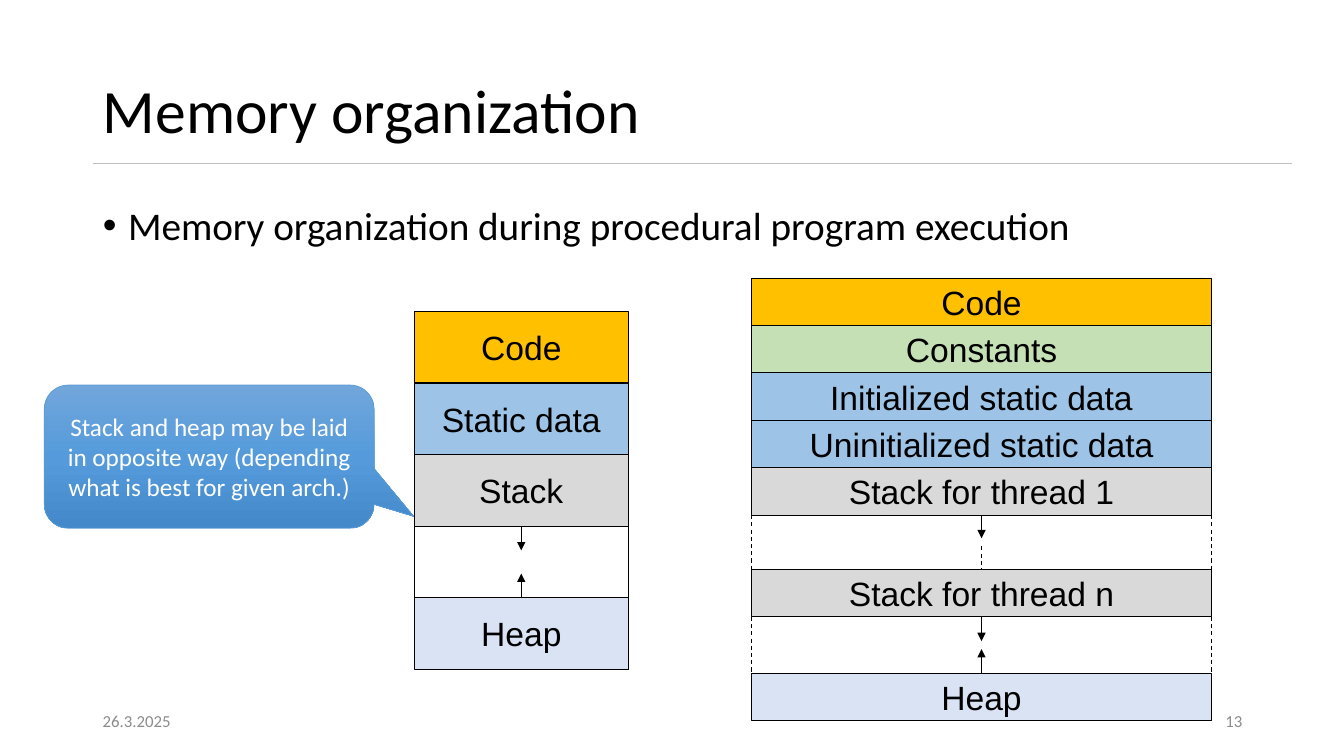
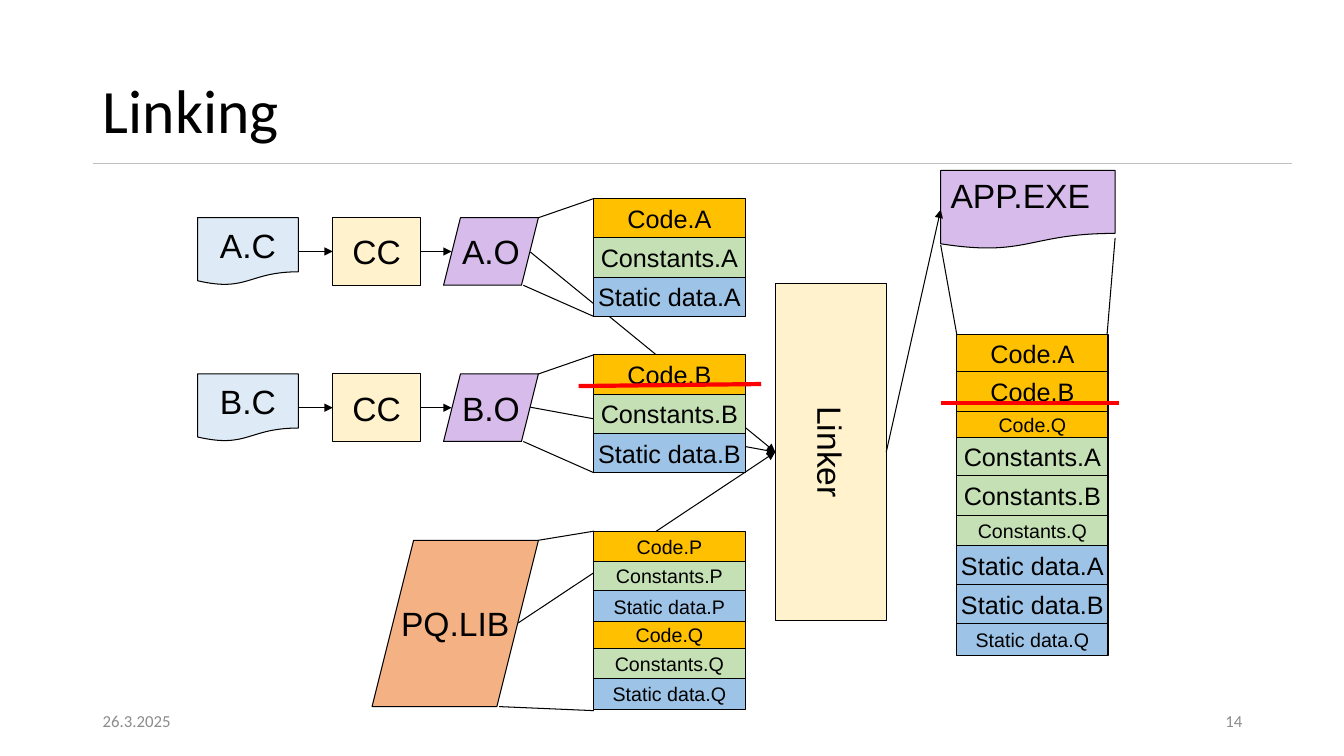
from copy import deepcopy
from lxml.etree import SubElement
from pptx import Presentation
from pptx.dml.color import RGBColor
from pptx.enum.dml import MSO_LINE
from pptx.enum.shapes import MSO_CONNECTOR, MSO_SHAPE
from pptx.enum.text import MSO_ANCHOR, PP_ALIGN
from pptx.oxml.ns import qn
from pptx.util import Inches, Pt

BLACK, WHITE, GREY, RULE, RED = "000000", "FFFFFF", "8C8C8C", "BFBFBF", "FF0000"
SOURCE, TOOL, OBJECT, LIBRARY = "DEEBF7", "FFF2CC", "D6BBEB", "F4B183"
SECTIONS = {"code": "FFC000", "constants": "C5E0B4", "static data": "9DC3E6",
            "stack": "D9D9D9", "heap": "DAE3F3"}
CALLOUT = [(0, "71A6DB"), (0.5, "559BDB"), (1, "448ACA")]


def rgb(value):
    return RGBColor.from_string(value)


def section_fill(label):
    return next((c for key, c in SECTIONS.items() if key in label.lower()), None)


class Deck:
    """Holds the shared style and the slide being drawn."""

    def __init__(self):
        self.prs = Presentation()
        self.prs.slide_width, self.prs.slide_height = Inches(13.33), Inches(7.5)
        self.s = None

    def slide(self, title, layout, number):
        self.s = self.prs.slides.add_slide(self.prs.slide_layouts[layout])
        self.line((12.81, 1.62), (0.92, 1.62), color=RULE, width=1)
        sp = self.s.shapes.title
        self.place(sp, 0.92, 0.4, 10.63, 1.45)
        sp.text_frame.vertical_anchor = MSO_ANCHOR.MIDDLE
        p = sp.text_frame.paragraphs[0]
        p.alignment, p.line_spacing = PP_ALIGN.LEFT, 0.9
        self.run(p, title, 44)
        self.footer(0.92, "26.3.2025", PP_ALIGN.LEFT)
        self.footer(9.42, number, PP_ALIGN.RIGHT)

    def place(self, sp, x, y, w, h):
        sp.left, sp.top, sp.width, sp.height = (Inches(v) for v in (x, y, w, h))

    def run(self, p, text, size, color=BLACK, font="Calibri"):
        r = p.add_run()
        r.text = text
        r.font.size, r.font.name = Pt(size), font
        r.font.color.rgb = rgb(color)

    def footer(self, x, text, align):
        sp = self.s.shapes.add_textbox(Inches(x), Inches(6.95), Inches(3), Inches(0.4))
        tf = sp.text_frame
        tf.word_wrap, tf.vertical_anchor = True, MSO_ANCHOR.MIDDLE
        p = tf.paragraphs[0]
        p.alignment = align
        self.run(p, text, 12, GREY)

    def bullet(self, text):
        sp = self.s.placeholders[1]
        self.place(sp, 0.92, 2, 11.5, 4.76)
        p = sp.text_frame.paragraphs[0]
        pPr = p._p.get_or_add_pPr()
        pPr.set("marL", str(Inches(0.25)))
        pPr.set("indent", str(-Inches(0.25)))
        SubElement(pPr, qn("a:buFont")).set("typeface", "Arial")
        SubElement(pPr, qn("a:buChar")).set("char", "•")
        p.line_spacing, p.space_before = 0.9, Pt(0)
        self.run(p, text, 28)

    def box(self, x, y, w, h, text="", fill=None, size=24, kind=MSO_SHAPE.RECTANGLE,
            anchor=MSO_ANCHOR.MIDDLE, align=PP_ALIGN.CENTER):
        sp = self.s.shapes.add_shape(kind, Inches(x), Inches(y), Inches(w), Inches(h))
        sp.shadow.inherit = False
        if fill:
            sp.fill.solid()
            sp.fill.fore_color.rgb = rgb(fill)
        else:
            sp.fill.background()
        sp.line.color.rgb, sp.line.width = rgb(BLACK), Pt(0.75)
        tf = sp.text_frame
        tf.word_wrap, tf.vertical_anchor = False, anchor
        if text:
            p = tf.paragraphs[0]
            p.alignment = align
            self.run(p, text, size, font="Arial")
        return sp

    def column(self, x, y, w, rows):
        boxes = []
        for label, h, size in rows:
            boxes.append(self.box(x, y, w, h, label, section_fill(label), size))
            y += h
        return boxes

    def callout(self, x, y, w, h, text):
        sp = self.box(x, y, w, h, kind=MSO_SHAPE.ROUNDED_RECTANGULAR_CALLOUT)
        for i, value in enumerate((0.62, 0.417, 0.167)):
            sp.adjustments[i] = value
        sp.fill.gradient()
        sp.fill.gradient_angle = 270
        stops = sp._element.spPr.find(".//" + qn("a:gsLst"))
        stops.append(deepcopy(stops[0]))
        for stop, (position, color) in zip(sp.fill.gradient_stops, CALLOUT):
            stop.position, stop.color.rgb = position, rgb(color)
        sp.line.color.rgb, sp.line.width = rgb("5B9BD5"), Pt(0.5)
        tf = sp.text_frame
        tf.word_wrap = True
        p = tf.paragraphs[0]
        p.alignment = PP_ALIGN.CENTER
        self.run(p, text, 18, WHITE)

    def line(self, start, end, color=BLACK, width=0.75, arrow=False, dash=False,
             begin_at=None, end_at=None):
        c = self.s.shapes.add_connector(MSO_CONNECTOR.STRAIGHT,
                                        *(Inches(v) for v in (*start, *end)))
        c.line.color.rgb, c.line.width = rgb(color), Pt(width)
        if dash:
            c.line.dash_style = MSO_LINE.DASH
        spPr = c._element.spPr
        if arrow:
            SubElement(spPr.find(qn("a:ln")), qn("a:tailEnd")).set("type", "triangle")
        SubElement(spPr, qn("a:effectLst"))
        if begin_at:
            c.begin_connect(*begin_at)
        if end_at:
            c.end_connect(*end_at)
        return c


def memory_slide(d):
    d.slide("Memory organization", 1, "13")
    d.bullet("Memory organization during procedural program execution")

    labels = ("Code", "Static data", "Stack", "", "Heap")
    boxes = d.column(4.11, 3.09, 2.12, [(label, 0.71, 24) for label in labels])
    d.line((5.17, 5.93), (5.17, 5.69), arrow=True, begin_at=(boxes[4], 0))
    d.line((5.17, 5.22), (5.17, 5.46), arrow=True, begin_at=(boxes[2], 2))

    left, width, row = 7.45, 4.57, 0.47
    mid, right = left + width / 2, left + width
    labels = ("Code", "Constants", "Initialized static data",
              "Uninitialized static data", "Stack for thread 1")
    first = d.column(left, 2.76, width, [(label, row, 24) for label in labels])[-1]
    last, = d.column(left, 5.65, width, [("Stack for thread n", row, 24)])
    heap, = d.column(left, 6.68, width, [("Heap", row, 24)])
    for top, bottom in ((5.11, 5.65), (6.12, 6.68)):
        for x in (left, right):
            d.line((x, top), (x, bottom), dash=True)
    d.line((mid, 5.11), (mid, 5.34), arrow=True, begin_at=(first, 2))
    d.line((mid, 5.42), (mid, 5.65), dash=True, end_at=(last, 0))
    d.line((mid, 6.12), (mid, 6.36), arrow=True, begin_at=(last, 2))
    d.line((mid, 6.68), (mid, 6.44), arrow=True, begin_at=(heap, 0))

    d.callout(0.44, 3.82, 3.27, 1.42, "Stack and heap may be laid in opposite way "
              "(depending what is best for given arch.)")


def linking_slide(d):
    d.slide("Linking", 5, "14")
    feeds = [d.line(start, (7.69, 4.48), arrow=True)
             for start in ((5.14, 6.18), (5.26, 4.04), (5.26, 2.5))]
    linker = d.box(7.69, 2.81, 1.1, 3.35, "Linker", TOOL)
    linker.text_frame._txBody.bodyPr.set("vert", "vert")
    for feed in feeds:
        feed.end_connect(linker, 1)

    sections = ("Code", "Constants", "Static data")
    for unit, y in (("A", 2.16), ("B", 3.71)):
        mid = y + 0.335
        src = d.box(1.96, y, 1, 0.67, unit + ".C", SOURCE,
                    kind=MSO_SHAPE.FLOWCHART_DOCUMENT)
        cc = d.box(3.3, y, 0.87, 0.67, "CC", TOOL)
        d.box(4.4, y, 0.94, 0.67, unit + ".O", OBJECT, kind=MSO_SHAPE.PARALLELOGRAM)
        d.line((2.96, mid), (3.3, mid), arrow=True, begin_at=(src, 3), end_at=(cc, 1))
        d.line((4.17, mid), (4.48, mid), arrow=True, begin_at=(cc, 3))
        d.column(5.89, y - 0.19, 1.5, [(f"{name}.{unit}", 0.39, 18) for name in sections])
        d.line((5.34, y), (5.89, y - 0.19))
        d.line((5.19, y + 0.67), (5.89, y + 0.98))

    d.box(3.69, 5.36, 1.65, 1.65, "PQ.LIB", LIBRARY, kind=MSO_SHAPE.PARALLELOGRAM)
    labels = [f"{name}.{unit}" for unit in "PQ" for name in sections]
    heights = (0.3, 0.29, 0.31, 0.26, 0.3, 0.31)
    d.column(5.89, 5.27, 1.5, [(label, h, 14) for label, h in zip(labels, heights)])
    d.line((5.34, 5.36), (5.89, 5.27))
    d.line((4.95, 7.01), (5.89, 7.05))

    app = d.box(9.33, 1.69, 1.73, 0.78, "APP.EXE", OBJECT, anchor=MSO_ANCHOR.TOP,
                kind=MSO_SHAPE.FLOWCHART_DOCUMENT, align=PP_ALIGN.LEFT)
    d.line((8.79, 4.48), (9.33, 2.08), arrow=True, begin_at=(linker, 3), end_at=(app, 1))
    labels = [f"{name}.{unit}" for name in sections for unit in "ABQ"]
    heights = (0.37, 0.39, 0.26, 0.38, 0.39, 0.3, 0.39, 0.39, 0.31)
    d.column(9.49, 3.32, 1.5, [(label, h, 14 if label.endswith("Q") else 18)
                               for label, h in zip(labels, heights)])
    d.line((9.33, 2.43), (9.49, 3.32))
    d.line((11.06, 2.36), (10.98, 3.32))
    for start, end in (((9.33, 4), (11.1, 4)), ((5.74, 3.83), (7.55, 3.81))):
        d.line(start, end, color=RED, width=3)


def main():
    d = Deck()
    memory_slide(d)
    linking_slide(d)
    d.prs.save("out.pptx")


if __name__ == "__main__":
    main()
